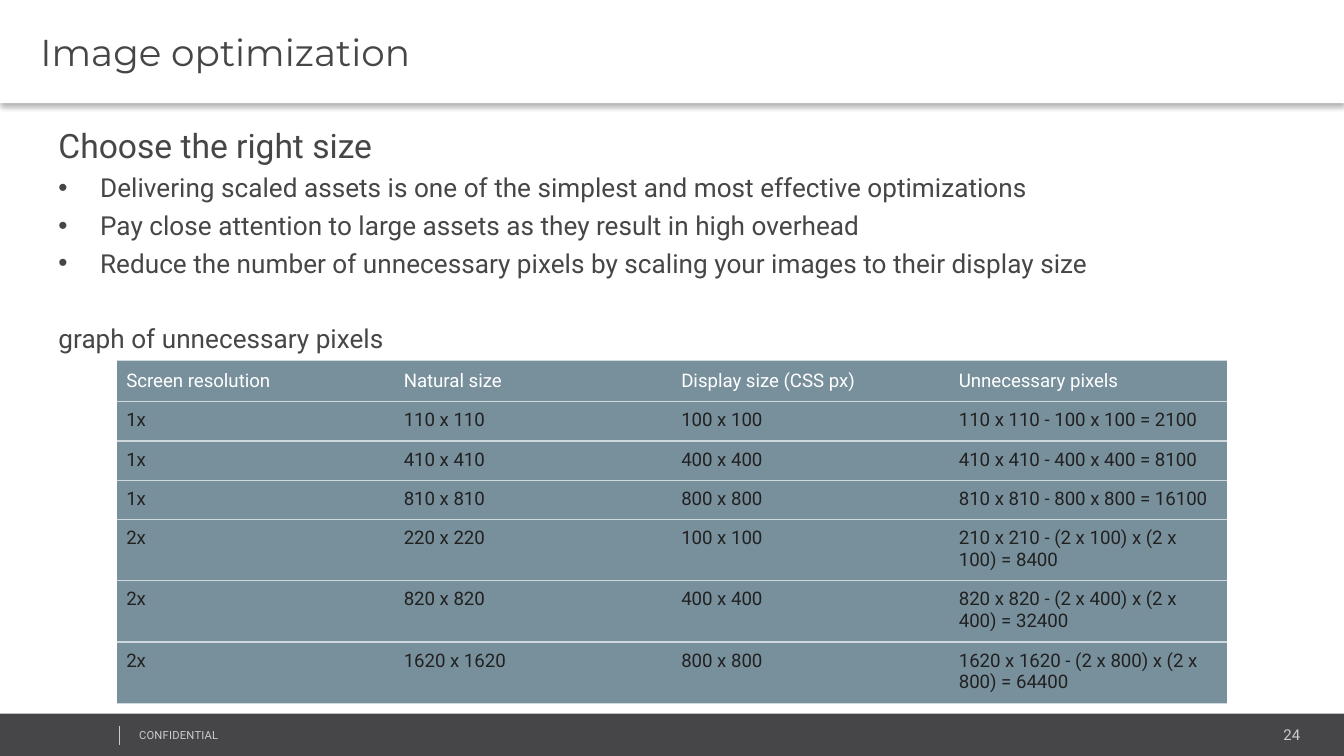
from lxml import etree
from pptx import Presentation
from pptx.dml.color import RGBColor
from pptx.enum.shapes import MSO_CONNECTOR, MSO_SHAPE
from pptx.enum.text import MSO_ANCHOR, PP_ALIGN
from pptx.oxml.ns import qn
from pptx.util import Inches, Pt

RECT = MSO_SHAPE.RECTANGLE
LINE = MSO_CONNECTOR.STRAIGHT
TOP, MID = MSO_ANCHOR.TOP, MSO_ANCHOR.MIDDLE
LEFT, RIGHT = PP_ALIGN.LEFT, PP_ALIGN.RIGHT
HEX = {"dark": "464547", "white": "FFFFFF", "pale": "CCCCCC",
       "slate": "78909C", "rule": "CFD8DC", "ink": "212121", "black": "000000"}
HEAD, BODY = "Montserrat", "Roboto"


def node(parent, tag, **attrs):
    return etree.SubElement(parent, qn(tag), {k: str(v) for k, v in attrs.items()})


class Deck:
    def __init__(self, wide, high):
        self.file = Presentation()
        self.file.slide_width, self.file.slide_height = Inches(wide), Inches(high)
        self.slide = self.file.slides.add_slide(self.file.slide_layouts[6])
        self.shapes = self.slide.shapes

    def x(self, share):
        return round(self.file.slide_width * share / 100)

    def y(self, share):
        return round(self.file.slide_height * share / 100)

    def place(self, left, top, wide, high):
        return self.x(left), self.y(top), self.x(wide), self.y(high)

    def color(self, name):
        return RGBColor.from_string(HEX[name])

    def font(self, part, size, color, face=BODY):
        for run in part.runs:
            run.font.size, run.font.name = Pt(size), face
            run.font.color.rgb = self.color(color)

    def inset(self, frame, left=5.4, right=5.4, top=3, bottom=3):
        frame.margin_left, frame.margin_right = Pt(left), Pt(right)
        frame.margin_top, frame.margin_bottom = Pt(top), Pt(bottom)

    def bar(self, box, fill):
        bar = self.shapes.add_shape(RECT, *self.place(*box))
        bar.shadow.inherit = False
        bar.fill.solid()
        bar.fill.fore_color.rgb = self.color(fill)
        bar.line.fill.background()
        return bar

    def title(self, box, text):
        bar = self.bar(box, "white")
        glow = node(bar._element.spPr.find(qn("a:effectLst")), "a:outerShdw",
                    blurRad=Pt(3.1), dist=Pt(2), dir=5400000, algn="t", rotWithShape=0)
        node(node(glow, "a:srgbClr", val=HEX["black"]), "a:alpha", val=30000)
        frame = bar.text_frame
        frame.text, frame.vertical_anchor = text, MID
        self.inset(frame, left=21.6)
        frame.paragraphs[0].alignment = LEFT
        self.font(frame.paragraphs[0], 20, "dark", HEAD)

    def text(self, box, lines):
        frame = self.shapes.add_textbox(*self.place(*box)).text_frame
        frame.word_wrap = True
        frame.text = "\n".join(lines)
        self.inset(frame)
        return frame.paragraphs

    def label(self, box, text, size, align=LEFT, track=0):
        part = self.text(box, [text])[0]
        part.alignment = align
        self.font(part, size, "pale")
        part.runs[0].font._element.set("spc", str(track))

    def points(self, box, head, items, note):
        parts = self.text(box, [head, *items, note])
        for part in parts:
            part.line_spacing = 1.2
            self.font(part, 14, "dark")
        self.font(parts[0], 18, "dark")
        for part in parts[1:-1]:
            props = part._p.get_or_add_pPr()
            props.set("marL", str(Inches(0.31)))
            props.set("indent", str(Inches(-0.31)))
            node(props, "a:buFont", typeface="Arial")
            node(props, "a:buChar", char="•")
        parts[-1].space_before = Pt(20)

    def rule(self, x, top, end):
        rule = self.shapes.add_connector(LINE, self.x(x), self.y(top), self.x(x), self.y(end))
        rule.line.color.rgb, rule.line.width = self.color("pale"), Pt(0.25)
        node(rule._element.spPr, "a:effectLst")

    def edges(self, cell):
        props = cell._tc.get_or_add_tcPr()
        for spot, side in enumerate(("L", "R", "T", "B")):
            edge = node(props, "a:ln" + side, w=Pt(0.75))
            if side in "LR":
                node(edge, "a:noFill")
            else:
                node(node(edge, "a:solidFill"), "a:srgbClr", val=HEX["rule"])
            props.insert(spot, edge)

    def table(self, box, rows, highs):
        grid = self.shapes.add_table(len(rows), len(rows[0]), *self.place(*box)).table
        grid.horz_banding = False
        for r, row in enumerate(rows):
            grid.rows[r].height = self.y(highs[r])
            for c, text in enumerate(row):
                cell = grid.cell(r, c)
                cell.text = text
                cell.fill.solid()
                cell.fill.fore_color.rgb = self.color("slate")
                cell.vertical_anchor = TOP if r else MID
                self.inset(cell, 5, 5, 4.2 if r else 5, 4.4 if r else 5)
                part = cell.text_frame.paragraphs[0]
                self.font(part, 10, "ink" if r else "white")
                part.runs[0].font.bold = False
                self.edges(cell)


ROWS = [
    ("Screen resolution", "Natural size", "Display size (CSS px)", "Unnecessary pixels"),
    ("1x", "110 x 110", "100 x 100", "110 x 110 - 100 x 100 = 2100"),
    ("1x", "410 x 410", "400 x 400", "410 x 410 - 400 x 400 = 8100"),
    ("1x", "810 x 810", "800 x 800", "810 x 810 - 800 x 800 = 16100"),
    ("2x", "220 x 220", "100 x 100", "210 x 210 - (2 x 100) x (2 x 100) = 8400"),
    ("2x", "820 x 820", "400 x 400", "820 x 820 - (2 x 400) x (2 x 400) = 32400"),
    ("2x", "1620 x 1620", "800 x 800", "1620 x 1620 - (2 x 800) x (2 x 800) = 64400"),
]
HIGHS = [5.3] + [5.2] * 3 + [8.1] * 3
ITEMS = [
    "Delivering scaled assets is one of the simplest and most effective optimizations",
    "Pay close attention to large assets as they result in high overhead",
    "Reduce the number of unnecessary pixels by scaling your images to their display size",
]


def main():
    deck = Deck(10, 5.625)
    deck.bar((0, 94.4, 100, 5.6), "dark")
    deck.label((81.2, 95.3, 16.3, 3.7), "24", 8, RIGHT)
    deck.label((9.6, 95.6, 25.3, 3.2), "CONFIDENTIAL", 6, track=10)
    deck.rule(8.9, 96, 98.5)
    deck.title((0, 0, 100, 13.65), "Image optimization")
    deck.points((3.6, 14.75, 91.2, 65.8), "Choose the right size", ITEMS,
                "graph of unnecessary pixels")
    deck.table((8.7, 47.7, 82.6, sum(HIGHS)), ROWS, HIGHS)
    deck.file.save("out.pptx")


if __name__ == "__main__":
    main()
